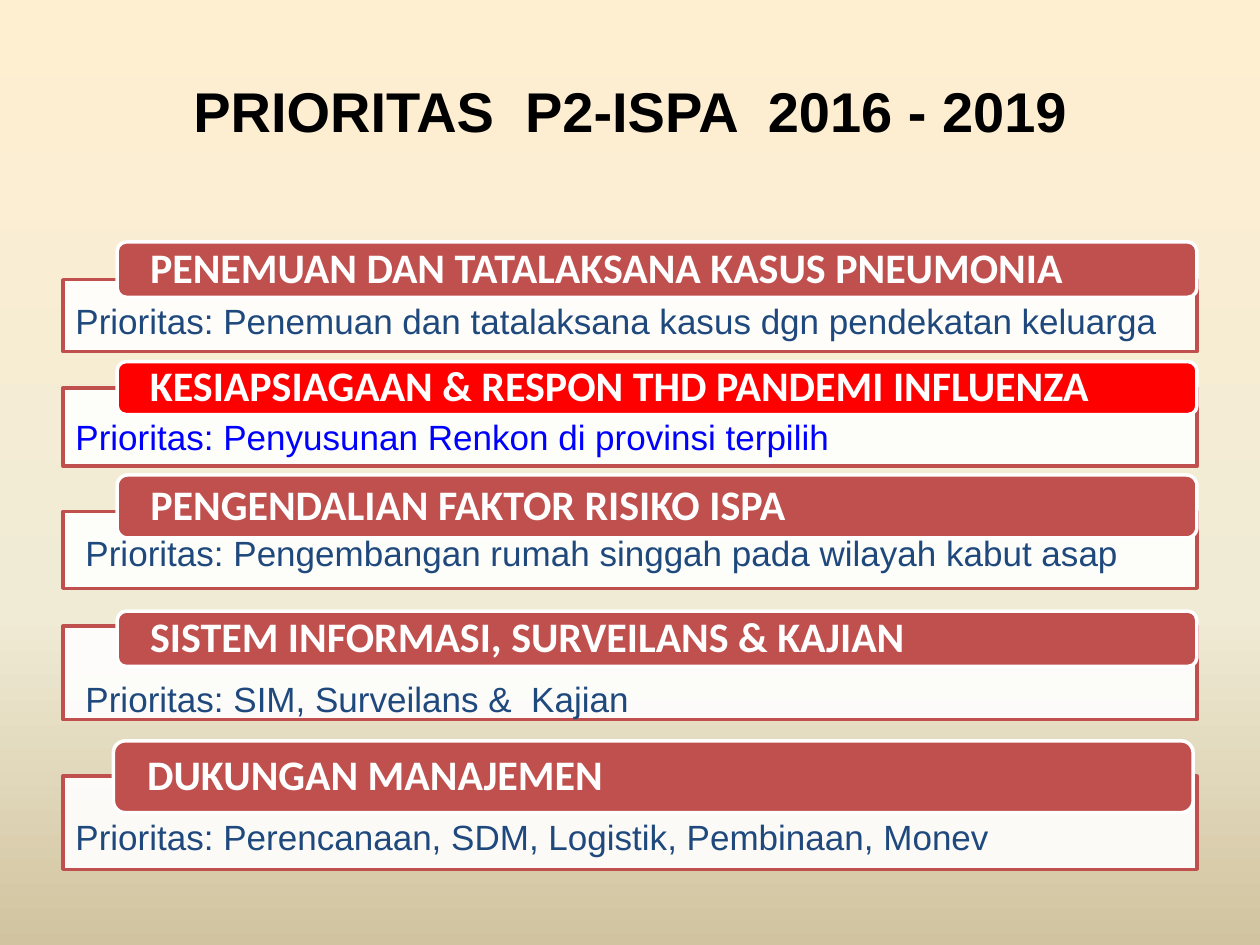
from dataclasses import dataclass

from lxml.etree import SubElement
from pptx import Presentation
from pptx.dml.color import RGBColor
from pptx.enum.shapes import MSO_SHAPE
from pptx.enum.text import MSO_ANCHOR, MSO_AUTO_SIZE, PP_ALIGN
from pptx.oxml.ns import qn
from pptx.shapes.autoshape import Shape
from pptx.slide import Slide
from pptx.text.text import TextFrame
from pptx.util import Inches, Pt

BLACK = RGBColor(0x00, 0x00, 0x00)
WHITE = RGBColor(0xFF, 0xFF, 0xFF)
BRICK = RGBColor(0xC0, 0x50, 0x4D)
RED = RGBColor(0xFF, 0x00, 0x00)
NAVY = RGBColor(0x1F, 0x49, 0x7D)
BLUE = RGBColor(0x00, 0x00, 0xFF)
BACKGROUND_STOPS = ((0, "FFEFD1"), (65, "F0EBD5"), (100, "D1C39F"))

PANEL_LEFT = 0.5
PANEL_WIDTH = 9
HEADING_WIDTH = 8.57
DETAIL_WIDTH = 8.92
DETAIL_HEIGHT = 0.44


@dataclass(frozen=True)
class Priority:
    heading: str
    detail: str
    panel_top: float
    panel_height: float
    heading_top: float
    heading_height: float
    detail_top: float
    heading_left: float = 0.93
    detail_left: float = 0.5
    heading_fill: RGBColor = BRICK
    detail_color: RGBColor = NAVY


PRIORITIES = (
    Priority("PENEMUAN DAN TATALAKSANA KASUS PNEUMONIA",
             "Prioritas: Penemuan dan tatalaksana kasus dgn pendekatan keluarga",
             2.22, 0.57, 1.92, 0.44, 2.33),
    Priority("KESIAPSIAGAAN & RESPON THD PANDEMI INFLUENZA",
             "Prioritas: Penyusunan Renkon di provinsi terpilih",
             3.08, 0.62, 2.87, 0.42, 3.25,
             heading_fill=RED, detail_color=BLUE),
    Priority("PENGENDALIAN FAKTOR RISIKO ISPA",
             "Prioritas: Pengembangan rumah singgah pada wilayah kabut asap",
             4.06, 0.61, 3.77, 0.5, 4.17, detail_left=0.58),
    Priority("SISTEM INFORMASI, SURVEILANS & KAJIAN",
             "Prioritas: SIM, Surveilans &  Kajian",
             4.97, 0.74, 4.85, 0.44, 5.33, detail_left=0.58),
    Priority("DUKUNGAN MANAJEMEN",
             "Prioritas: Perencanaan, SDM, Logistik, Pembinaan, Monev",
             6.16, 0.74, 5.88, 0.57, 6.42, heading_left=0.9),
)


def write_text(frame: TextFrame, text: str, *, size: int, color: RGBColor,
               font: str = "Arial", bold: bool = False,
               align: PP_ALIGN = PP_ALIGN.LEFT,
               anchor: MSO_ANCHOR = MSO_ANCHOR.TOP,
               line_spacing: float = 1.0) -> None:
    frame.word_wrap = True
    frame.vertical_anchor = anchor
    paragraph = frame.paragraphs[0]
    paragraph.alignment = align
    paragraph.line_spacing = line_spacing
    run = paragraph.add_run()
    run.text = text
    run.font.name = font
    run.font.size = Pt(size)
    run.font.bold = bold
    run.font.color.rgb = color


def add_box(slide: Slide, kind: MSO_SHAPE, left: float, top: float,
            width: float, height: float, fill: RGBColor,
            line: RGBColor) -> Shape:
    box = slide.shapes.add_shape(kind, Inches(left), Inches(top),
                                 Inches(width), Inches(height))
    box.shadow.inherit = False
    box.fill.solid()
    box.fill.fore_color.rgb = fill
    box.line.color.rgb = line
    box.line.width = Pt(2)
    return box


def add_panel(slide: Slide, priority: Priority) -> None:
    panel = add_box(slide, MSO_SHAPE.RECTANGLE, PANEL_LEFT, priority.panel_top,
                    PANEL_WIDTH, priority.panel_height, WHITE, BRICK)
    fill_color = panel.fill._xPr.find(qn("a:solidFill")).find(qn("a:srgbClr"))
    SubElement(fill_color, qn("a:alpha"), val="90000")


def add_heading(slide: Slide, priority: Priority) -> None:
    heading = add_box(slide, MSO_SHAPE.ROUNDED_RECTANGLE,
                      priority.heading_left, priority.heading_top,
                      HEADING_WIDTH, priority.heading_height,
                      priority.heading_fill, WHITE)
    frame = heading.text_frame
    frame.margin_left = frame.margin_right = Inches(0.24)
    frame.margin_top = frame.margin_bottom = 0
    write_text(frame, priority.heading, size=24, color=WHITE, font="Calibri",
               bold=True, anchor=MSO_ANCHOR.MIDDLE, line_spacing=0.9)


def add_detail(slide: Slide, priority: Priority) -> None:
    detail = slide.shapes.add_textbox(
        Inches(priority.detail_left), Inches(priority.detail_top),
        Inches(DETAIL_WIDTH), Inches(DETAIL_HEIGHT))
    detail.text_frame.auto_size = MSO_AUTO_SIZE.SHAPE_TO_FIT_TEXT
    write_text(detail.text_frame, priority.detail, size=20,
               color=priority.detail_color)


def paint_background(slide: Slide) -> None:
    fill = slide.background.fill
    fill.gradient()
    fill.gradient_angle = 270
    stops = next(slide.element.iter(qn("a:gsLst")))
    for stop in list(stops):
        stops.remove(stop)
    for percent, color in BACKGROUND_STOPS:
        stop = SubElement(stops, qn("a:gs"), pos=str(percent * 1000))
        SubElement(stop, qn("a:srgbClr"), val=color)


def place_title(slide: Slide) -> None:
    title = slide.shapes.title
    title.left, title.top = Inches(0.92), Inches(0.25)
    title.width, title.height = Inches(8.17), Inches(1.25)
    write_text(title.text_frame, "PRIORITAS  P2-ISPA  2016 - 2019", size=32,
               color=BLACK, bold=True, align=PP_ALIGN.CENTER,
               anchor=MSO_ANCHOR.MIDDLE)


def main() -> None:
    presentation = Presentation()
    presentation.slide_width = Inches(10)
    presentation.slide_height = Inches(7.5)
    slide = presentation.slides.add_slide(presentation.slide_layouts[5])
    paint_background(slide)
    place_title(slide)
    for priority in PRIORITIES:
        add_panel(slide, priority)
        add_heading(slide, priority)
        add_detail(slide, priority)
    presentation.save("out.pptx")


if __name__ == "__main__":
    main()
